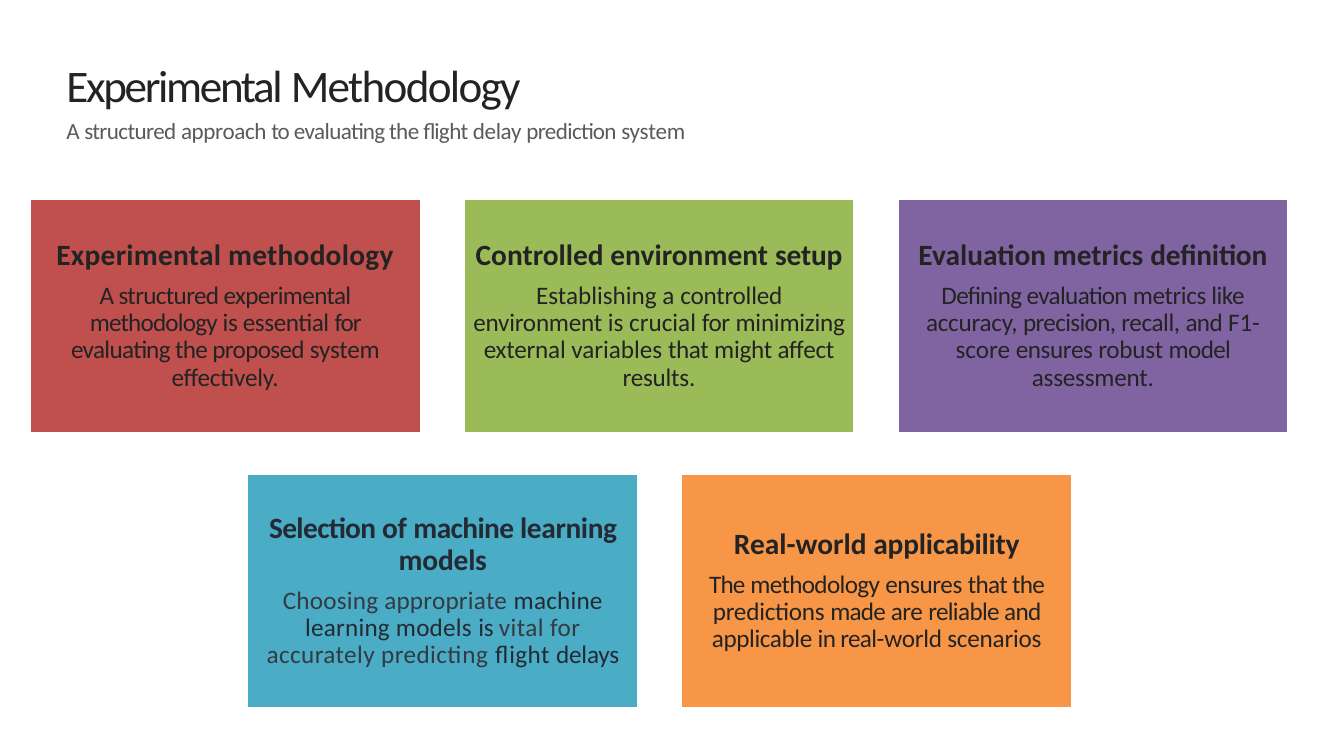
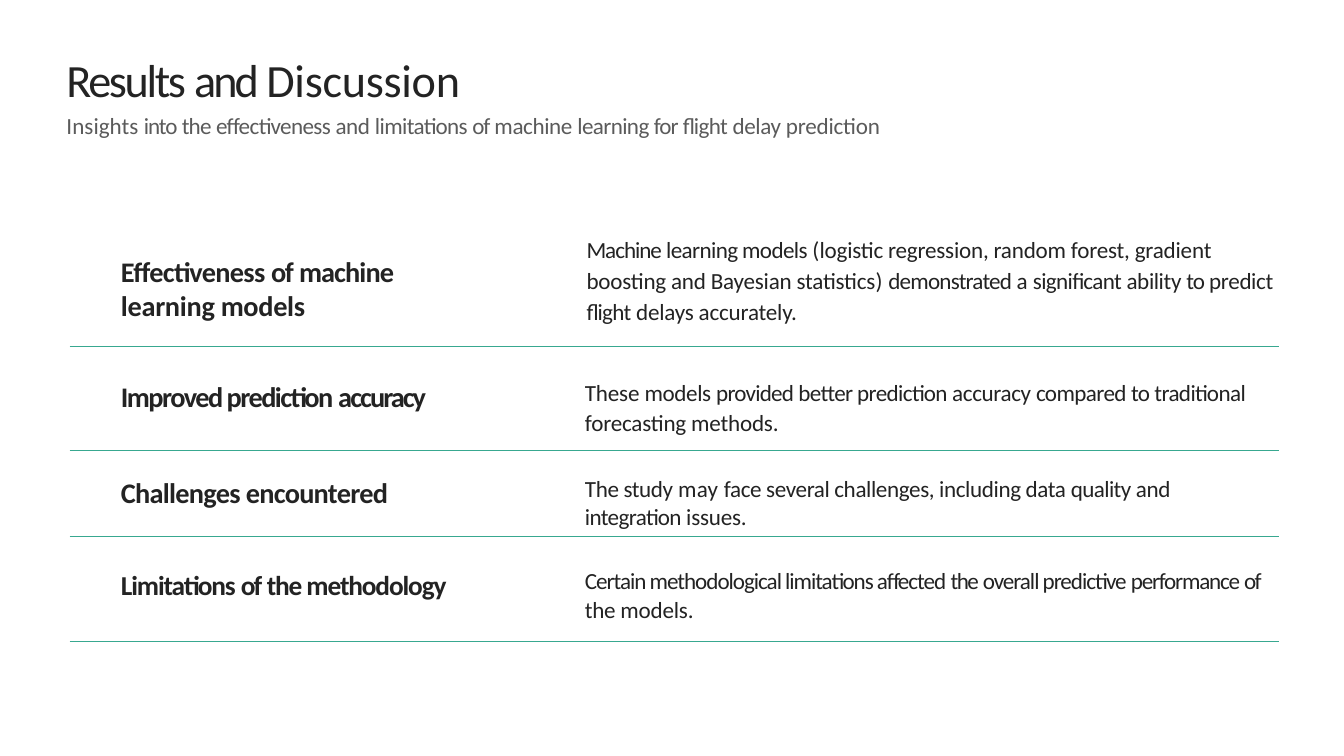
from lxml import etree
from pptx import Presentation
from pptx.dml.color import RGBColor
from pptx.enum.shapes import MSO_CONNECTOR, MSO_SHAPE
from pptx.enum.text import MSO_ANCHOR, MSO_AUTO_SIZE, PP_ALIGN
from pptx.oxml.ns import qn
from pptx.util import Emu, Pt

RECTANGLE, STRAIGHT = MSO_SHAPE.RECTANGLE, MSO_CONNECTOR.STRAIGHT
TOP, MIDDLE = MSO_ANCHOR.TOP, MSO_ANCHOR.MIDDLE
LEFT, CENTER = PP_ALIGN.LEFT, PP_ALIGN.CENTER
NO_AUTOFIT = MSO_AUTO_SIZE.NONE

EMU_PER_PX = 9144  # 100 px to the inch
TITLE_ONLY = 5
FONT = "Calibri"

INK = RGBColor(0x23, 0x23, 0x23)
MUTED = RGBColor(0x5B, 0x5B, 0x5B)
NAVY = RGBColor(0x23, 0x2A, 0x33)
SLATE = RGBColor(0x34, 0x3A, 0x41)
WHITE = RGBColor(0xFF, 0xFF, 0xFF)
RED = RGBColor(0xC0, 0x50, 0x4D)
GREEN = RGBColor(0x9B, 0xBB, 0x59)
PURPLE = RGBColor(0x80, 0x64, 0xA2)
BLUE = RGBColor(0x4B, 0xAC, 0xC6)
ORANGE = RGBColor(0xF7, 0x96, 0x46)
TEAL = RGBColor(0x38, 0xA8, 0x90)

# Card grid
CARD_WIDTH, CARD_HEIGHT = 260, 156
CARD_GAP_X, CARD_GAP_Y = 27, 26
CARDS_CENTER, CARDS_TOP = 436, 131

# Rows of findings
RULE_LEFT, RULE_RIGHT = 46, 846
LABEL_TEXT_LEFT = 80

# Each span is (text, letter spacing in points[, colour])
CARD_ROWS = [
    [
        (RED, INK,
         [("Experimental methodology", 0.1)],
         [("A ", -0.6), ("structured experimental ", -0.3), ("methodology ", -0.4),
          ("is essential ", -0.2), ("for ", -0.5), ("evaluating the proposed ", -0.3),
          ("system effectively.", -0.1)]),
        (GREEN, INK,
         [("Controlled environment ", 0), ("setup", -0.1)],
         [("Establishing a ", 0), ("controlled environment ", -0.1), ("is crucial ", 0),
          ("for ", -0.2), ("minimizing external ", -0.1), ("variables ", 0),
          ("that ", -0.2), ("might affect results.", -0.1)]),
        (PURPLE, INK,
         [("Evaluation metrics ", 0), ("definition", -0.1)],
         [("Defining evaluation ", -0.3), ("metrics like ", -0.2), ("accuracy, ", -0.1),
          ("precision, ", -0.3), ("recall, ", -0.2), ("and", -0.3), (" F1-", -0.1),
          ("score ", 0), ("ensures ", -0.2), ("robust ", -0.1), ("model ", -0.3),
          ("assessment.", -0.1)]),
    ],
    [
        (BLUE, NAVY,
         [("Selection ", -0.3), ("of ", -0.1), ("machine ", -0.3), ("learning ", -0.2),
          ("models", -0.1)],
         [("Choosing appropriate ", 0.1, SLATE), ("machine learning models ", 0.1),
          ("is ", -0.2), ("vital for accurately predicting ", 0.2, SLATE),
          ("flight ", 0.2), ("delays", -0.1)]),
        (ORANGE, INK,
         [("Real-world ", 0), ("applicability", -0.1)],
         [("The ", -0.4), ("methodology ", -0.3), ("ensures ", -0.2), ("that the ", -0.3),
          ("predictions ", -0.1), ("made ", -0.4), ("are ", -0.2),
          ("reliable and ", -0.3), ("applicable ", -0.2), ("in real-", -0.3),
          ("world scenarios", -0.1)]),
    ],
]

# (label place, label size, label, detail place, line spacing, detail, rule y)
FINDINGS = [
    ((78, 167, 248, 46), 13.5,
     [("Effectiveness ", -0.3), ("of ", -0.6), ("machine ", -0.4),
      ("learning models", -0.1)],
     (387, 153, 466, 63), 1.11,
     [("Machine ", -0.5), ("learning models ", -0.3), ("(", 0.1),
      ("logistic regression, random forest, gradient boosting and Bayesian statistics",
       -0.1),
      (") ", 0.1), ("demonstrated ", -0.4), ("a ", 0), ("significant ", -0.3),
      ("ability ", -0.2), ("to ", -0.5), ("predict ", -0.2), ("flight ", -0.3),
      ("delays accurately.", -0.1)],
     229),
    ((43, 250, 255, 24), 13.5,
     [("Improved prediction ", -0.7), ("accuracy", -0.9)],
     (386, 247, 460, 42), 1.11,
     [("These ", -0.1), ("models ", -0.2), ("provided ", -0.4),
      ("better prediction ", -0.3), ("accuracy ", -0.2), ("compared ", -0.3),
      ("to ", -0.4), ("traditional ", -0.3), ("forecasting methods.", -0.1)],
     298),
    ((42, 313, 294, 24), 13.5,
     [("Challenges encountered", -0.3)],
     (386, 313, 434, 38), 1.0,
     [("The study ", -0.2), ("may ", 0.1),
      ("face several challenges, including data ", -0.2), ("quality ", -0.3),
      ("and ", -0.2), ("integration ", -0.3), ("issues.", -0.1)],
     355),
    ((43, 375, 263, 23), 13,
     [("Limitations ", -0.5), ("of ", -0.8), ("the methodology", -0.5)],
     (386, 373, 450, 40), 1.05,
     [("Certain methodological limitations affected ", -0.5), ("the ", -0.7),
      ("overall predictive ", -0.5), ("performance ", -0.6), ("of ", -0.8),
      ("the ", -0.2), ("models.", -0.1)],
     424),
]


def px(length):
    return Emu(length * EMU_PER_PX)


def apply(target, formats):
    for name, value in formats.items():
        setattr(target, name, value)


def set_frame(frame, insets, anchor=TOP):
    left, top, right, bottom = map(px, insets)
    apply(frame, {"word_wrap": True, "auto_size": NO_AUTOFIT, "vertical_anchor": anchor,
                  "margin_left": left, "margin_top": top,
                  "margin_right": right, "margin_bottom": bottom})


def write_para(para, spans, size, color, bold=False, **formats):
    apply(para, {"alignment": LEFT, **formats})
    for text, spacing, *own_color in spans:
        span = para.add_run()
        span.text = text
        apply(span.font, {"name": FONT, "size": Pt(size), "bold": bold})
        span.font.color.rgb = own_color[0] if own_color else color
        span.font._element.set("spc", str(round(spacing * 100)))


def add_page(deck, title, subtitle, size, inset_top, height):
    """Adds a slide whose title placeholder holds a heading and a subtitle."""
    page = deck.slides.add_slide(deck.slide_layouts[TITLE_ONLY])
    box = page.shapes.title
    apply(box, {"left": px(43), "top": px(26), "width": px(803), "height": px(height)})
    frame = box.text_frame
    set_frame(frame, (1, inset_top, 0, 0))
    write_para(frame.paragraphs[0], title, size, INK)
    write_para(frame.add_paragraph(), subtitle, 11, MUTED, space_before=Pt(2.2))
    return page


def add_card(page, left, top, fill, ink, heading, body):
    card = page.shapes.add_shape(RECTANGLE, px(left), px(top),
                                 px(CARD_WIDTH), px(CARD_HEIGHT))
    card.shadow.inherit = False
    card.fill.solid()
    card.fill.fore_color.rgb = fill
    card.line.color.rgb = WHITE
    card.line.width = Pt(2)
    frame = card.text_frame
    set_frame(frame, (6, 6, 6, 6), MIDDLE)
    spacing = {"alignment": CENTER, "line_spacing": 0.9}
    write_para(frame.paragraphs[0], heading, 14, ink, bold=True,
               space_after=Pt(5), **spacing)
    write_para(frame.add_paragraph(), body, 12, ink, space_after=Pt(4), **spacing)


def add_text(page, place, spans, size, indent=1, **formats):
    box = page.shapes.add_textbox(*map(px, place))
    set_frame(box.text_frame, (indent, 1, 0, 0))
    write_para(box.text_frame.paragraphs[0], spans, size, INK, **formats)


def add_rule(page, y):
    rule = page.shapes.add_connector(STRAIGHT, px(RULE_LEFT), px(y), px(RULE_RIGHT), px(y))
    rule.line.color.rgb = TEAL
    rule.line.width = Pt(0.25)
    etree.SubElement(rule._element.spPr, qn("a:effectLst"))


def build_methodology(deck):
    page = add_page(
        deck,
        [("Experimental ", -1.1), ("Methodology", -0.8)],
        [("A ", -0.4), ("structured ", -0.3), ("approach ", -0.2), ("to ", -0.6),
         ("evaluating the flight ", -0.3), ("delay ", -0.2), ("prediction ", -0.3),
         ("system", -0.1)],
        size=21.5, inset_top=12, height=70)
    for row, cards in enumerate(CARD_ROWS):
        row_width = len(cards) * (CARD_WIDTH + CARD_GAP_X) - CARD_GAP_X
        row_left = CARDS_CENTER - row_width // 2
        top = CARDS_TOP + row * (CARD_HEIGHT + CARD_GAP_Y)
        for column, card in enumerate(cards):
            add_card(page, row_left + column * (CARD_WIDTH + CARD_GAP_X), top, *card)


def build_results(deck):
    page = add_page(
        deck,
        [("Results ", -1.1), ("and ", -1.4), ("Discussion", -0.1)],
        [("Insights ", 0), ("into ", -0.5), ("the ", -0.4), ("effectiveness ", -0.3),
         ("and ", -0.2), ("limitations ", -0.3), ("of ", -0.6), ("machine ", -0.2),
         ("learning ", -0.3), ("for ", -0.5), ("flight ", -0.3), ("delay ", -0.2),
         ("prediction", -0.1)],
        size=22, inset_top=8, height=66)
    for label_place, label_size, label, place, spacing, detail, rule_y in FINDINGS:
        add_rule(page, rule_y)
        add_text(page, label_place, label, label_size, bold=True,
                 indent=LABEL_TEXT_LEFT - label_place[0])
        add_text(page, place, detail, 11, line_spacing=spacing)


def main():
    deck = Presentation()
    deck.slide_width, deck.slide_height = px(889), px(500)
    build_methodology(deck)
    build_results(deck)
    deck.save("out.pptx")


if __name__ == "__main__":
    main()
